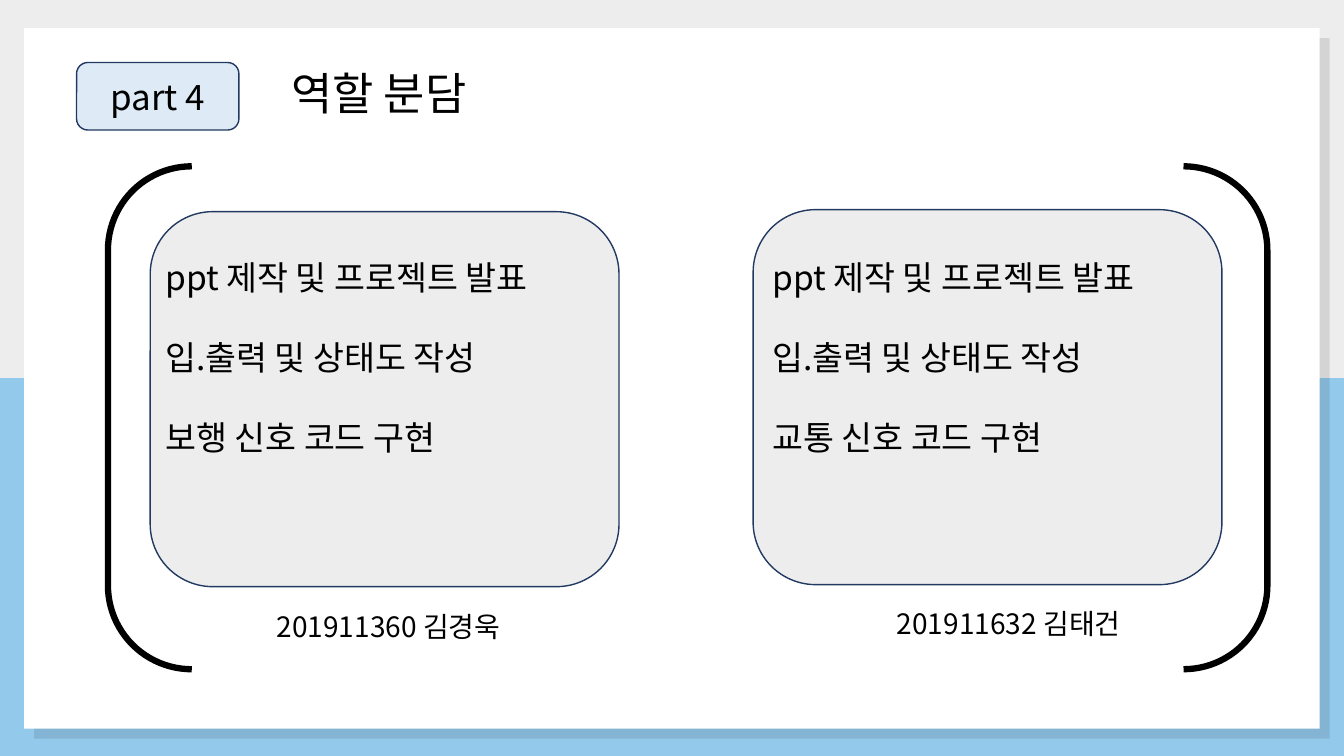
from dataclasses import dataclass

from lxml.etree import SubElement
from pptx import Presentation
from pptx.dml.color import RGBColor
from pptx.enum.shapes import MSO_SHAPE
from pptx.enum.text import MSO_ANCHOR, MSO_AUTO_SIZE, PP_ALIGN
from pptx.oxml.ns import qn
from pptx.util import Inches, Pt

FONT = "Noto Sans CJK KR"
HEX = {"sky": "93C9EB", "grey": "EDEDED", "white": "FFFFFF",
       "pale": "DEEBF7", "navy": "223961", "black": "000000"}
WIDE, HIGH = Inches(13.33), Inches(7.5)


@dataclass
class Box:
    """A frame in percent of the slide's width and height."""
    x: float
    y: float
    w: float
    h: float

    def frame(self) -> tuple[int, ...]:
        shares = ((self.x, WIDE), (self.y, HIGH), (self.w, WIDE), (self.h, HIGH))
        return tuple(round(part * full / 100) for part, full in shares)


@dataclass
class Member:
    card: Box
    list_box: Box
    name_box: Box
    name: str
    tasks: list[str]


MEMBERS = [
    Member(Box(11.18, 28, 34.88, 49.6), Box(11.55, 33.33, 33, 38.6),
           Box(16.35, 80, 25.13, 5.73), "201911360 김경욱",
           ["ppt 제작 및 프로젝트 발표", "입.출력 및 상태도 작성", "보행 신호 코드 구현"]),
    Member(Box(56.04, 27.73, 34.88, 49.6), Box(56.71, 33.33, 33, 38.6),
           Box(62.49, 79.6, 25.13, 5.73), "201911632 김태건",
           ["ppt 제작 및 프로젝트 발표", "입.출력 및 상태도 작성", "교통 신호 코드 구현"]),
]


def color(key: str) -> RGBColor:
    return RGBColor.from_string(HEX[key])


def draw(slide, kind: MSO_SHAPE, box: Box, fill: str = "",
         line: str = "", width: float = 1):
    shape = slide.shapes.add_shape(kind, *box.frame())
    shape.shadow.inherit = False
    if fill:
        shape.fill.solid()
        shape.fill.fore_color.rgb = color(fill)
    else:
        shape.fill.background()
    if line:
        shape.line.color.rgb = color(line)
        shape.line.width = Pt(width)
    else:
        shape.line.fill.background()
    return shape


def write(shape, text: str, size: float, align: PP_ALIGN, anchor: MSO_ANCHOR) -> None:
    frame = shape.text_frame
    frame.text = text
    frame.word_wrap = True
    frame.auto_size = MSO_AUTO_SIZE.NONE
    frame.vertical_anchor = anchor
    for para in frame.paragraphs:
        para.alignment = align
        para.space_before = Pt(0)
        for run in para.runs:
            run.font.size = Pt(size)
            run.font.name = FONT
            run.font.color.rgb = color("black")
            SubElement(run.font._element, qn("a:ea"), typeface=FONT)


def place(shape, box: Box) -> None:
    """Move a placeholder to its box, in front of what is drawn so far."""
    shape.left, shape.top, shape.width, shape.height = box.frame()
    shape.element.getparent().append(shape.element)


def shade(shape) -> None:
    """Cast a hard, faint shadow down to the right."""
    effects = shape.element.spPr.find(qn("a:effectLst"))
    outer = SubElement(effects, qn("a:outerShdw"), blurRad="0", dist=str(Pt(10)),
                       dir="2700000", algn="tl", rotWithShape="0")
    tone = SubElement(outer, qn("a:srgbClr"), val=HEX["black"])
    SubElement(tone, qn("a:alpha"), val="10000")


def fill_list(shape, tasks: list[str]) -> None:
    write(shape, "\n".join(tasks), 24, PP_ALIGN.LEFT, MSO_ANCHOR.TOP)
    for order, para in enumerate(shape.text_frame.paragraphs):
        if order:
            para.line_spacing = Pt(57.2)
        props = para._p.get_or_add_pPr()
        props.set("marL", "0")
        props.set("indent", "0")
        SubElement(props, qn("a:buNone"))


def main() -> None:
    deck = Presentation()
    deck.slide_width, deck.slide_height = WIDE, HIGH
    slide = deck.slides.add_slide(deck.slide_layouts[3])
    title, *lists = slide.placeholders

    # Backdrop and white panel
    back = slide.background.fill
    back.solid()
    back.fore_color.rgb = color("sky")
    draw(slide, MSO_SHAPE.RECTANGLE, Box(0, 0, 100, 50), "grey")
    shade(draw(slide, MSO_SHAPE.RECTANGLE, Box(1.8, 3.73, 96.4, 92.67), "white"))

    # Heading
    badge = draw(slide, MSO_SHAPE.ROUNDED_RECTANGLE,
                 Box(5.7, 8.27, 12.08, 8.93), "pale", "navy")
    write(badge, "part 4", 25, PP_ALIGN.CENTER, MSO_ANCHOR.MIDDLE)
    place(title, Box(20.93, 6.53, 69.47, 12.27))
    write(title, "역할 분담", 32, PP_ALIGN.LEFT, MSO_ANCHOR.MIDDLE)
    title.text_frame.paragraphs[0].line_spacing = 0.9

    # Brackets around both members
    draw(slide, MSO_SHAPE.DOUBLE_BRACKET, Box(8.03, 22, 86.27, 66.53),
         line="black", width=4.5)

    # Member cards with tasks and names
    for member, tasks in zip(MEMBERS, lists):
        draw(slide, MSO_SHAPE.ROUNDED_RECTANGLE, member.card, "grey", "navy")
        place(tasks, member.list_box)
        fill_list(tasks, member.tasks)
        label = slide.shapes.add_textbox(*member.name_box.frame())
        write(label, member.name, 20, PP_ALIGN.CENTER, MSO_ANCHOR.TOP)

    deck.save("out.pptx")


if __name__ == "__main__":
    main()
